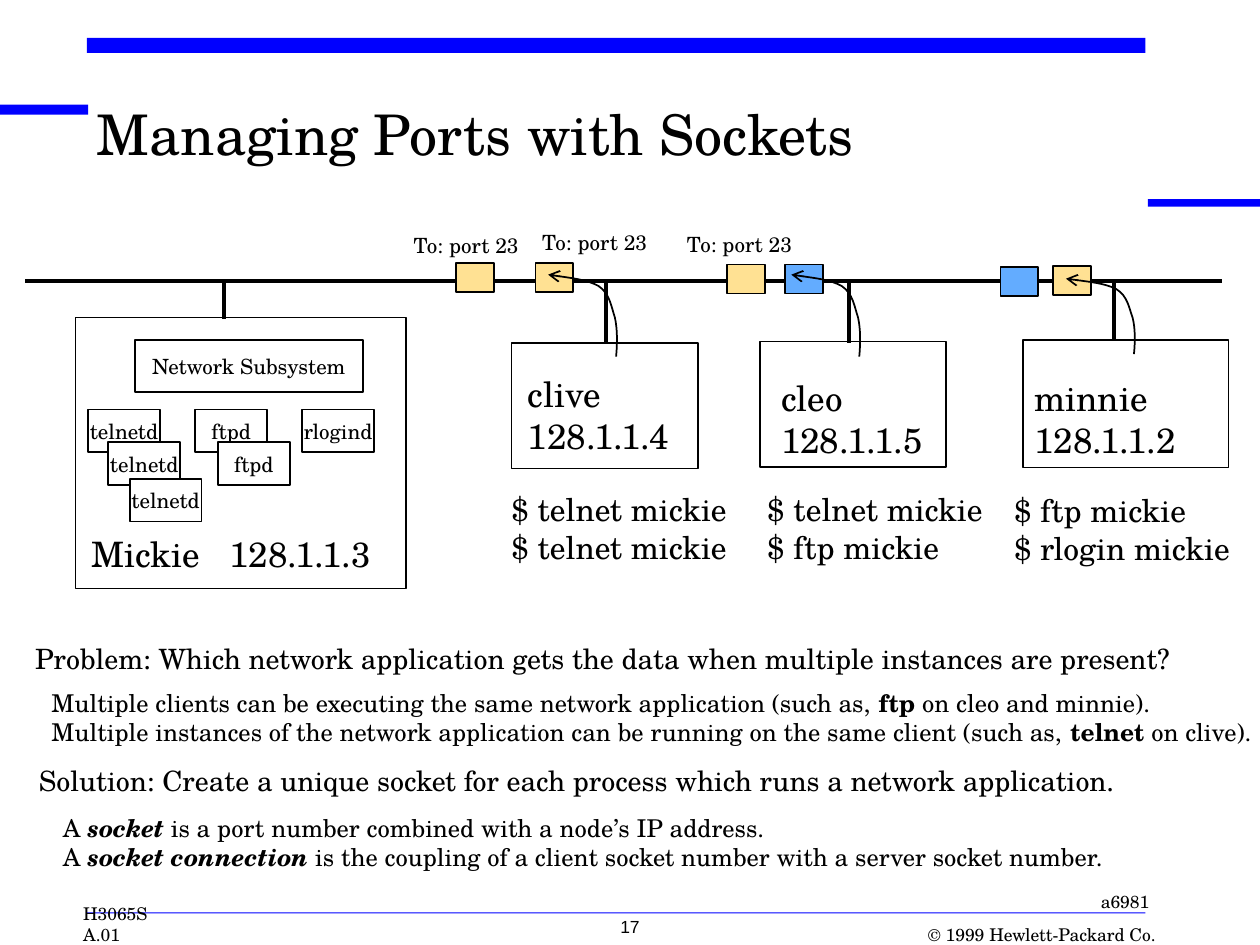
from dataclasses import dataclass
from itertools import starmap
from typing import NamedTuple

from lxml import etree
from pptx import Presentation
from pptx.dml.color import RGBColor
from pptx.enum import shapes, text
from pptx.oxml.ns import qn
from pptx.util import Inches, Pt

COLUMNS, ROWS = 100, 75
CELL = Inches(10) // COLUMNS
SERIF = "TeX Gyre Schola"
BLACK, WHITE, BLUE = "000000", "FFFFFF", "0000FF"
YELLOW, SKY = "FFE193", "63ACFF"
LEFT, CENTER, RIGHT = text.PP_ALIGN.LEFT, text.PP_ALIGN.CENTER, text.PP_ALIGN.RIGHT
TOP, MIDDLE, BOTTOM = text.MSO_ANCHOR.TOP, text.MSO_ANCHOR.MIDDLE, text.MSO_ANCHOR.BOTTOM
BUS_ROW = 22.3
ARROW_BEND = [(0, 0), (0.1, -1.1), (0.1, -2.2), (-0.1, -3.1), (-0.4, -4),
              (-0.5, -5), (-1.4, -5.6), (-2.3, -6.1), (-4.7, -6.4), (-5.4, -6.5)]


class Area(NamedTuple):
    column: float
    row: float
    columns: float
    rows: float


class Span(NamedTuple):
    words: str
    bold: bool = False
    italic: bool = False


@dataclass
class Label:
    area: Area
    lines: list
    size: float = 12
    align: text.PP_ALIGN = LEFT
    anchor: text.MSO_ANCHOR = TOP
    inset: bool = True
    wrap: bool = False
    font: str = SERIF
    spacing: float = 1.0
    tab: float = 0


class Packet(NamedTuple):
    column: float
    row: float
    color: str


@dataclass
class Host:
    frame: Area
    drop: float
    name: str
    address: str
    name_at: tuple
    commands: list
    commands_at: tuple
    packets: list
    arrow_from: tuple
    arrow_rise: float = 1.0


class Process(NamedTuple):
    column: float
    row: float
    name: str
    fill: str | None = None


def cells(*lengths: float) -> list[int]:
    return [round(length * CELL) for length in lengths]


def color(value: str) -> RGBColor:
    return RGBColor.from_string(value)


def write(shape, label: Label) -> None:
    box = shape.text_frame
    inset = cells(1, 0.5) if label.inset else [0, 0]
    settings = {"word_wrap": label.wrap, "vertical_anchor": label.anchor,
                "margin_left": inset[0], "margin_right": inset[0],
                "margin_top": inset[1], "margin_bottom": inset[1]}
    for key, value in settings.items():
        setattr(box, key, value)
    for index, line in enumerate(label.lines):
        para = box.paragraphs[0] if index == 0 else box.add_paragraph()
        para.alignment = label.align
        para.line_spacing = label.spacing
        if label.tab:
            stops = etree.SubElement(para._p.get_or_add_pPr(), qn("a:tabLst"))
            etree.SubElement(stops, qn("a:tab"), pos=str(cells(label.tab)[0]), algn="l")
        for span in [Span(line)] if isinstance(line, str) else line:
            run = para.add_run()
            run.text = span.words
            look = {"name": label.font, "size": Pt(label.size),
                    "bold": span.bold, "italic": span.italic}
            for key, value in look.items():
                setattr(run.font, key, value)
            run.font.color.rgb = color(BLACK)


def add_label(page, label: Label) -> None:
    write(page.shapes.add_textbox(*cells(*label.area)), label)


def add_box(page, area: Area, fill: str | None = None, outline: str | None = BLACK,
            name: str = "") -> None:
    shape = page.shapes.add_shape(shapes.MSO_SHAPE.RECTANGLE, *cells(*area))
    shape.shadow.inherit = False
    if fill:
        shape.fill.solid()
        shape.fill.fore_color.rgb = color(fill)
    else:
        shape.fill.background()
    if outline:
        shape.line.color.rgb = color(outline)
        shape.line.width = Pt(1)
    else:
        shape.line.fill.background()
    if name:
        write(shape, Label(area, [name], align=CENTER, anchor=MIDDLE))


def add_wire(page, *ends: float) -> None:
    wire = page.shapes.add_connector(shapes.MSO_CONNECTOR.STRAIGHT, *cells(*ends))
    wire.line.color.rgb = color(BLACK)
    wire.line.width = Pt(2.25)
    etree.SubElement(wire._element.spPr, qn("a:effectLst"))


def add_bent_arrow(page, column: float, row: float, rise: float) -> None:
    points = [tuple(cells(column + x, row + y * rise)) for x, y in ARROW_BEND]
    builder = page.shapes.build_freeform(*points[0])
    builder.add_line_segments(points[1:], close=False)
    arrow = builder.convert_to_shape()
    segments = list(arrow._element.iter(qn("a:lnTo")))
    for start in range(0, len(segments), 3):
        curve = etree.Element(qn("a:cubicBezTo"))
        segments[start].addprevious(curve)
        for segment in segments[start:start + 3]:
            curve.append(segment[0])
            segment.getparent().remove(segment)
    arrow.shadow.inherit = False
    arrow.fill.background()
    arrow.line.color.rgb = color(BLACK)
    arrow.line.width = Pt(1)
    etree.SubElement(arrow.line._get_or_add_ln(), qn("a:tailEnd"), type="arrow")


def add_host(page, host: Host) -> None:
    add_box(page, host.frame)
    add_wire(page, host.drop, BUS_ROW, host.drop, host.frame.row + 0.1)
    add_label(page, Label(Area(*host.name_at, 13.8, 7.7), [host.name, host.address], 20))
    add_label(page, Label(Area(*host.commands_at, 19.1, 7), host.commands, 18))
    for packet in host.packets:
        add_box(page, Area(packet.column, packet.row, 3, 2.3), packet.color)
    add_bent_arrow(page, *host.arrow_from, host.arrow_rise)


BARS = [Area(0, 8.3, 7, 0.8), Area(6.9, 3, 84, 1.2), Area(91.1, 15.8, 8.9, 0.6),
        Area(6.9, 72.4, 84, 0.1)]

HOSTS = [
    Host(Area(40.6, 27.2, 14.8, 10), 48.1, "clive", "128.1.1.4", (40.9, 29.1),
         ["$ telnet mickie", "$ telnet mickie"], (39.6, 38.4),
         [Packet(36.2, 20.9, YELLOW), Packet(42.5, 20.9, YELLOW)], (48.9, 28.3)),
    Host(Area(60.3, 27.1, 14.8, 10), 67.4, "cleo", "128.1.1.5", (61, 29.4),
         ["$ telnet mickie", "$ ftp mickie"], (59.9, 38.4),
         [Packet(57.7, 21, YELLOW), Packet(62.3, 21, SKY)], (68.2, 28.3)),
    Host(Area(81.2, 27, 16.3, 10.1), 88.4, "minnie", "128.1.1.2", (81.1, 29.4),
         ["$ ftp mickie", "$ rlogin mickie"], (79.5, 38.5),
         [Packet(79.4, 21.2, SKY), Packet(83.6, 21.1, YELLOW)], (90, 28.1), 0.92),
]

PROCESSES = [Process(7, 32.5, "telnetd"), Process(8.6, 35.1, "telnetd", WHITE),
             Process(15.5, 32.5, "ftpd"), Process(17.3, 35.1, "ftpd", WHITE),
             Process(24, 32.5, "rlogind"), Process(10.3, 38, "telnetd", WHITE)]

PORT_LABELS = [(32, 17.8), (42.2, 17.6), (53.7, 17.7)]

LABELS = [
    Label(Area(7.7, 8.7, 80.7, 6.7), ["Managing Ports with Sockets"], 32,
          inset=False, wrap=True, spacing=0.85),
    Label(Area(6.3, 41.8, 24.3, 4.4), ["Mickie\t128.1.1.3"], 20, tab=10.9),
    Label(Area(1.8, 50.4, 93.9, 3.7),
          ["Problem: Which network application gets the data when multiple instances are present?"], 16),
    Label(Area(3.1, 54.1, 98.2, 5.7), [
        [Span("Multiple clients can be executing the same network application (such as, "),
         Span("ftp", True), Span(" on cleo and minnie).")],
        [Span("Multiple instances of the network application can be running on the same client (such as, "),
         Span("telnet", True), Span(" on clive).")]], 14),
    Label(Area(2.1, 60.1, 89, 3.7),
          ["Solution: Create a unique socket for each process which runs a network application."], 16),
    Label(Area(4, 64, 85, 5.7), [
        [Span("A "), Span("socket", True, True),
         Span(" is a port number combined with a node’s IP address.")],
        [Span("A "), Span("socket connection", True, True),
         Span(" is the coupling of a client socket number with a server socket number.")]], 14),
    Label(Area(86.3, 70.2, 5.9, 2.7), ["a6981"], 10, RIGHT),
    Label(Area(73.5, 73.3, 18.2, 1.7), ["© 1999 Hewlett-Packard Co."], 10, RIGHT, BOTTOM, False),
    Label(Area(6.6, 73.3, 8, 1.7), ["H3065S A.01"], 10, LEFT, BOTTOM, False, True),
    Label(Area(39.6, 72.2, 20.8, 3.3), ["17"], 10, CENTER, wrap=True, font="Arial"),
]


def main() -> None:
    deck = Presentation()
    deck.slide_width, deck.slide_height = COLUMNS * CELL, ROWS * CELL
    page = deck.slides.add_slide(deck.slide_layouts[6])
    for bar in BARS:
        add_box(page, bar, BLUE, None)
    add_wire(page, 2, BUS_ROW, 97, BUS_ROW)
    add_box(page, Area(6, 25.2, 26.2, 21.5))
    add_wire(page, 17.8, BUS_ROW, 17.8, 25.3)
    add_box(page, Area(10.7, 27, 18.1, 4.1), name="Network Subsystem")
    for process in PROCESSES:
        add_box(page, Area(process.column, process.row, 5.7, 3.4), process.fill, name=process.name)
    for host in HOSTS:
        add_host(page, host)
    for area in starmap(lambda column, row: Area(column, row, 10, 3.3), PORT_LABELS):
        add_label(page, Label(area, ["To: port 23"], align=CENTER, anchor=MIDDLE, inset=False))
    for label in LABELS:
        add_label(page, label)
    deck.save("out.pptx")


if __name__ == "__main__":
    main()
